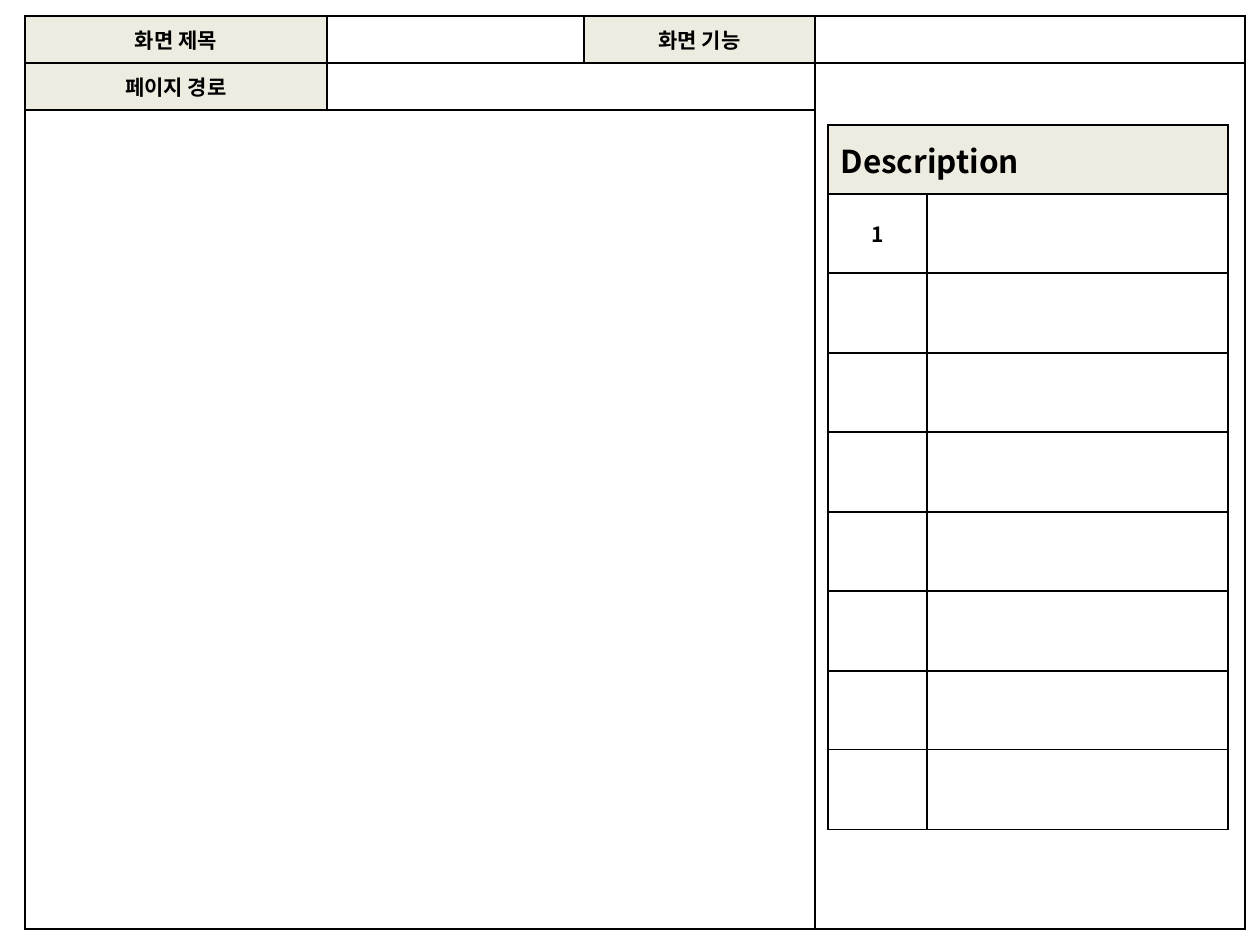
import lxml.etree
import pptx
import pptx.dml.color
import pptx.enum.text
import pptx.oxml.ns
import pptx.util

BLACK = pptx.dml.color.RGBColor(0x00, 0x00, 0x00)
BEIGE = pptx.dml.color.RGBColor(0xEE, 0xEC, 0xE1)
PX = 914400 / 126


def px(length):
    return pptx.util.Emu(round(length * PX))


class Sheet:
    font_name = "Noto Sans CJK KR"
    line_width = pptx.util.Pt(1)

    def __init__(self, slide):
        self.slide = slide

    def table(self, left, top, widths, heights, merges):
        frame = self.slide.shapes.add_table(
            len(heights), len(widths), px(left), px(top), px(sum(widths)), px(sum(heights))
        )
        table = frame.table
        table.first_row = False
        table.horz_banding = False
        for column, width in zip(table.columns, widths):
            column.width = px(width)
        for row, height in zip(table.rows, heights):
            row.height = px(height)
        for first, last in merges:
            table.cell(*first).merge(table.cell(*last))
        for cell in table.iter_cells():
            cell.margin_top = cell.margin_bottom = 0
            self.borders(cell)
            cell.fill.background()
        return table

    def borders(self, cell):
        properties = cell._tc.get_or_add_tcPr()
        for side in ("a:lnL", "a:lnR", "a:lnT", "a:lnB"):
            line = lxml.etree.SubElement(
                properties, pptx.oxml.ns.qn(side), w=str(self.line_width)
            )
            fill = lxml.etree.SubElement(line, pptx.oxml.ns.qn("a:solidFill"))
            lxml.etree.SubElement(fill, pptx.oxml.ns.qn("a:srgbClr"), val=str(BLACK))

    def label(self, cell, text, size=12, align=pptx.enum.text.PP_ALIGN.CENTER, fill=None):
        cell.text = text
        cell.vertical_anchor = pptx.enum.text.MSO_ANCHOR.MIDDLE
        if fill is not None:
            cell.fill.solid()
            cell.fill.fore_color.rgb = fill
        paragraph = cell.text_frame.paragraphs[0]
        paragraph.alignment = align
        font = paragraph.font
        font.size = pptx.util.Pt(size)
        font.bold = True
        font.color.rgb = BLACK
        font.name = self.font_name
        lxml.etree.SubElement(
            font._element, pptx.oxml.ns.qn("a:ea"), typeface=self.font_name
        )


def main():
    presentation = pptx.Presentation()
    presentation.slide_width = pptx.util.Inches(10)
    presentation.slide_height = pptx.util.Inches(7.5)
    sheet = Sheet(presentation.slides.add_slide(presentation.slide_layouts[6]))

    screen = sheet.table(
        25, 16, [302, 257, 231, 430], [47, 47, 819],
        [((1, 1), (1, 2)), ((1, 3), (2, 3)), ((2, 0), (2, 2))],
    )
    headings = {(0, 0): "화면 제목", (0, 2): "화면 기능", (1, 0): "페이지 경로"}
    for position, text in headings.items():
        sheet.label(screen.cell(*position), text, fill=BEIGE)

    description = sheet.table(
        828, 125, [99, 301], [69] + [79, 80] * 4, [((0, 0), (0, 1))]
    )
    sheet.label(
        description.cell(0, 0), "Description", 18, pptx.enum.text.PP_ALIGN.LEFT, BEIGE
    )
    sheet.label(description.cell(1, 0), "1")

    presentation.save("out.pptx")


if __name__ == "__main__":
    main()
